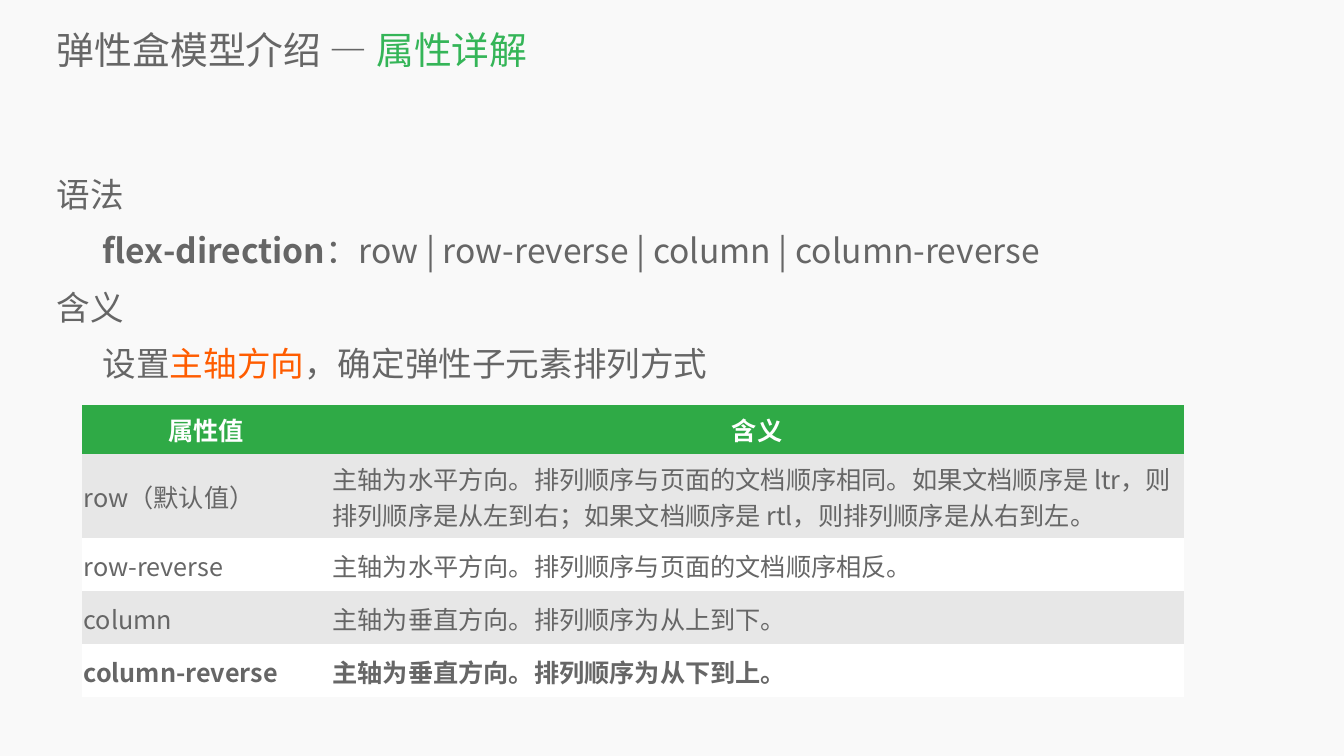
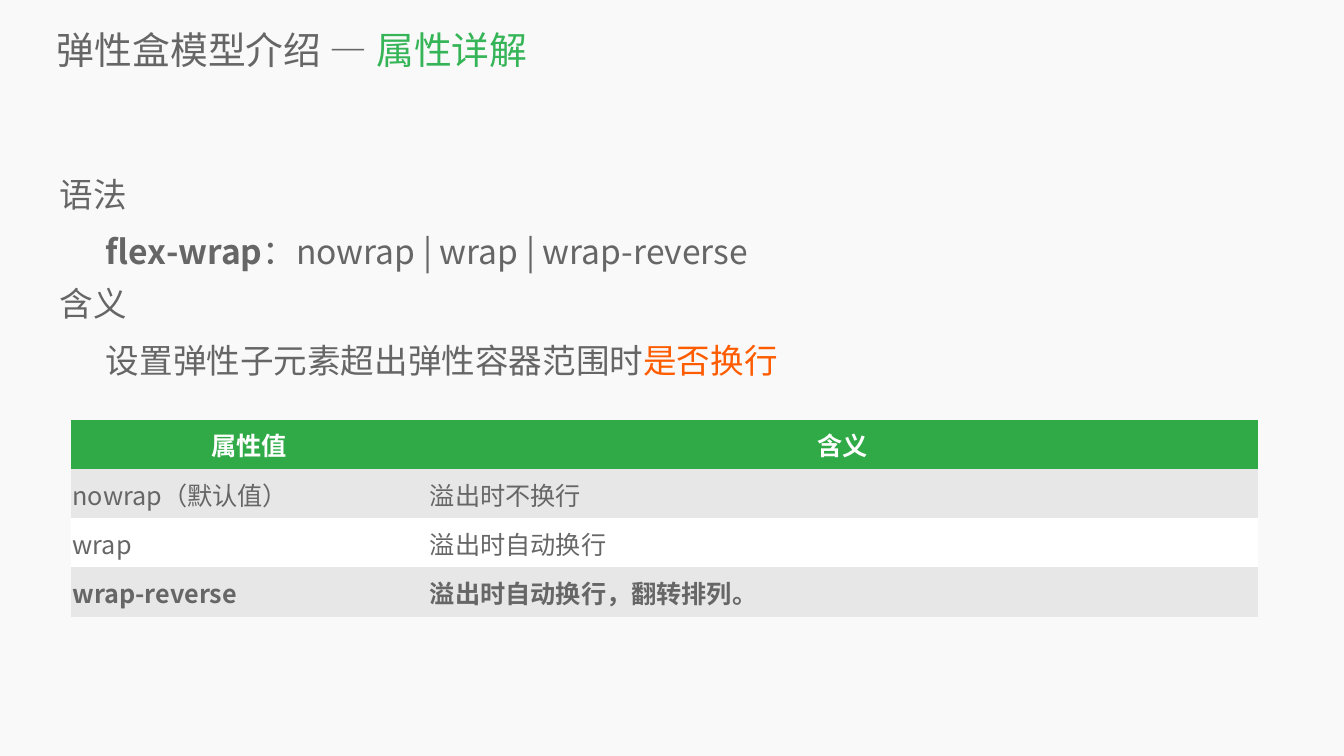
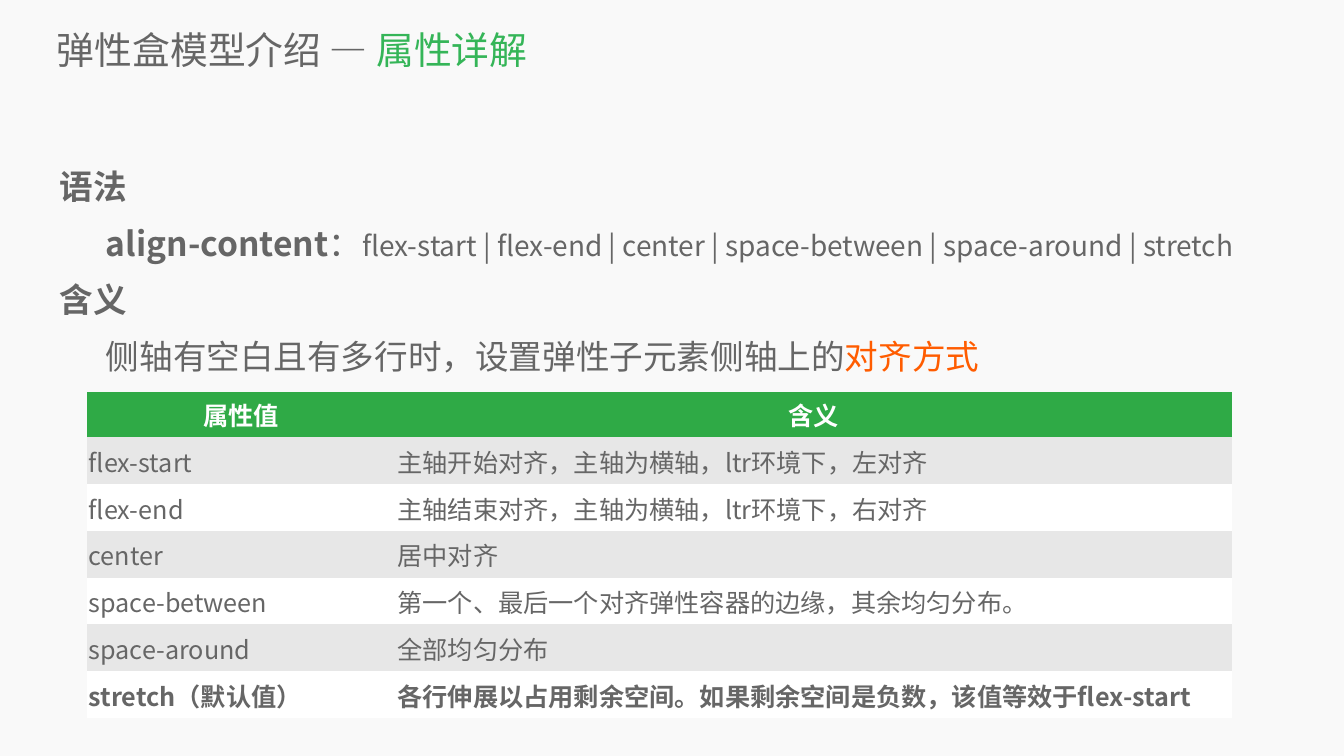
"""Build three slides explaining flexbox properties: syntax, meaning and a table of values."""
from dataclasses import dataclass

from lxml.etree import SubElement
from pptx import Presentation
from pptx.dml.color import RGBColor as Rgb
from pptx.enum.text import MSO_ANCHOR as Anchor, PP_ALIGN as Align
from pptx.oxml.ns import qn
from pptx.util import Inches, Pt


@dataclass(frozen=True)
class Theme:
    font: str = "Noto Sans CJK SC"
    page: str = "F9F9F9"
    text: str = "666666"
    green: str = "35B558"
    orange: str = "FF5C00"
    header: str = "2FAA46"
    header_text: str = "FFFFFF"
    bands: tuple = ("E7E7E7", "FFFFFF")
    title_size: int = 54
    body_size: int = 48
    small_size: int = 40
    table_size: int = 36
    indent: float = 0.91


THEME = Theme()
NO_GRID = "{2D5ABB26-0587-4C30-8999-92F81FD0307C}"

STYLES = {
    "plain": {},
    "bold": {"bold": True},
    "small": {"size": THEME.small_size},
    "accent": {"color": THEME.orange},
}

TITLE = [("弹性盒模型介绍 — ", THEME.text), ("属性详解", THEME.green)]
TITLE_AT = (1.13, 0.47, 25.16, 1.02)
BODY_SIZE = (24.28, 11.24)
COLUMN_HEADS = ("属性值", "含义")

PROPERTIES = [
    {
        "body_at": (1.13, 3.13),
        "heading": "plain",
        "heading_spacing": 1.4,
        "syntax": [("flex-direction", "bold"),
                   ("：row | row-reverse | column | column-reverse", "plain")],
        "meaning": [("设置", "plain"), ("主轴方向", "accent"),
                    ("，确定弹性子元素排列方式", "plain")],
        "table_at": (1.63, 8.03),
        "columns": (4.94, 16.93),
        "heights": (0.97, 1.68, 1.05, 1.05, 1.05),
        "values": [
            ("row（默认值）", "主轴为水平方向。排列顺序与页面的文档顺序相同。如果文档顺序是 ltr，"
             "则排列顺序是从左到右；如果文档顺序是 rtl，则排列顺序是从右到左。"),
            ("row-reverse", "主轴为水平方向。排列顺序与页面的文档顺序相反。"),
            ("column", "主轴为垂直方向。排列顺序为从上到下。"),
            ("column-reverse", "主轴为垂直方向。排列顺序为从下到上。"),
        ],
    },
    {
        "body_at": (1.19, 3.22),
        "heading": "plain",
        "heading_spacing": 1.3,
        "syntax": [("flex-wrap", "bold"), ("：nowrap | wrap | wrap-reverse", "plain")],
        "meaning": [("设置弹性子元素超出弹性容器范围时", "plain"), ("是否换行", "accent")],
        "table_at": (1.41, 8.33),
        "columns": (7.09, 16.47),
        "heights": (0.97,) + (0.98,) * 3,
        "values": [
            ("nowrap（默认值）", "溢出时不换行"),
            ("wrap", "溢出时自动换行"),
            ("wrap-reverse", "溢出时自动换行，翻转排列。"),
        ],
    },
    {
        "body_at": (1.19, 2.98),
        "heading": "bold",
        "heading_spacing": 1.4,
        "syntax": [("align-content", "bold"), ("：", "plain"),
                   ("flex-start | flex-end | center | space-between | space-around | stretch",
                    "small")],
        "meaning": [("侧轴有空白且有多行时，设置弹性子元素侧轴上的", "plain"),
                    ("对齐方式", "accent")],
        "table_at": (1.73, 7.77),
        "columns": (6.13, 16.59),
        "heights": (0.9,) + (0.93,) * 6,
        "values": [
            ("flex-start", "主轴开始对齐，主轴为横轴，ltr环境下，左对齐"),
            ("flex-end", "主轴结束对齐，主轴为横轴，ltr环境下，右对齐"),
            ("center", "居中对齐"),
            ("space-between", "第一个、最后一个对齐弹性容器的边缘，其余均匀分布。"),
            ("space-around", "全部均匀分布"),
            ("stretch（默认值）", "各行伸展以占用剩余空间。如果剩余空间是负数，该值等效于flex-start"),
        ],
    },
]


def add_run(paragraph, text, size=THEME.body_size, color=THEME.text, bold=False):
    run = paragraph.add_run()
    run.text = text
    font = run.font
    font.name, font.size, font.bold = THEME.font, Pt(size), bold
    font.color.rgb = Rgb.from_string(color)
    SubElement(font._element, qn("a:ea"), typeface=THEME.font)


def set_margins(area, left=0, top=0, right=0, bottom=0):
    area.margin_left, area.margin_top = Inches(left), Inches(top)
    area.margin_right, area.margin_bottom = Inches(right), Inches(bottom)


def add_frame(slide, place):
    frame = slide.shapes.add_textbox(*map(Inches, place)).text_frame
    frame.word_wrap = True
    set_margins(frame)
    return frame


def add_title(slide):
    frame = add_frame(slide, TITLE_AT)
    frame.vertical_anchor = Anchor.MIDDLE
    for text, color in TITLE:
        add_run(frame.paragraphs[0], text, THEME.title_size, color)


def add_explanation(slide, prop):
    frame = add_frame(slide, prop["body_at"] + BODY_SIZE)
    lines = [
        ([("语法", prop["heading"])], prop["heading_spacing"], 0),
        (prop["syntax"], 1.4, THEME.indent),
        ([("含义", prop["heading"])], prop["heading_spacing"], 0),
        (prop["meaning"], 1.4, THEME.indent),
    ]
    for number, (runs, spacing, indent) in enumerate(lines):
        paragraph = frame.add_paragraph() if number else frame.paragraphs[0]
        paragraph.line_spacing = spacing
        paragraph._p.get_or_add_pPr().set("marL", str(Inches(indent)))
        for text, style in runs:
            add_run(paragraph, text, **STYLES[style])


def fill_cell(cell, text, fill, color, bold):
    cell.fill.solid()
    cell.fill.fore_color.rgb = Rgb.from_string(fill)
    cell.vertical_anchor = Anchor.MIDDLE
    add_run(cell.text_frame.paragraphs[0], text, THEME.table_size, color, bold)


def add_values(slide, prop):
    rows = [COLUMN_HEADS] + prop["values"]
    columns, heights = prop["columns"], prop["heights"]
    place = prop["table_at"] + (sum(columns), sum(heights))
    table = slide.shapes.add_table(len(rows), len(columns), *map(Inches, place)).table
    table.horz_banding = False
    table._tbl.tblPr.find(qn("a:tableStyleId")).text = NO_GRID
    for column, width in zip(table.columns, columns):
        column.width = Inches(width)
    for r, (texts, height) in enumerate(zip(rows, heights)):
        table.rows[r].height = Inches(height)
        for c, text in enumerate(texts):
            cell = table.cell(r, c)
            if r == 0:
                fill_cell(cell, text, THEME.header, THEME.header_text, True)
                cell.text_frame.paragraphs[0].alignment = Align.CENTER
                set_margins(cell, 0.03, 0.1, 0.05, 0.1)
            else:
                fill_cell(cell, text, THEME.bands[(r - 1) % 2], THEME.text, r == len(rows) - 1)
                set_margins(cell, 0.03, 0.08, 0.05 if c else 0.1, 0.05)


def main():
    deck = Presentation()
    deck.slide_width, deck.slide_height = Inches(26.67), Inches(15)
    page = deck.slide_master.background.fill
    page.solid()
    page.fore_color.rgb = Rgb.from_string(THEME.page)
    for prop in PROPERTIES:
        slide = deck.slides.add_slide(deck.slide_layouts[6])
        add_title(slide)
        add_explanation(slide, prop)
        add_values(slide, prop)
    deck.save("out.pptx")


if __name__ == "__main__":
    main()
